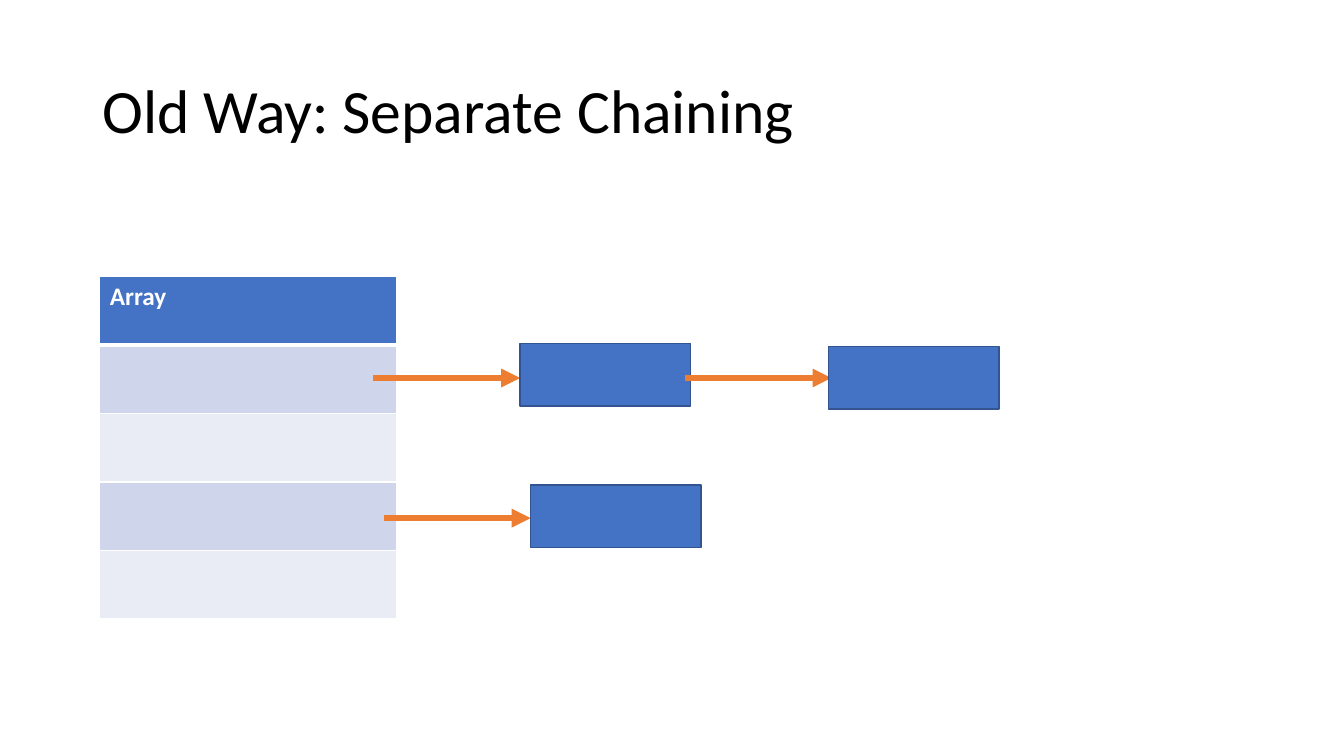
from dataclasses import dataclass

from lxml import etree
from pptx import Presentation
from pptx.dml.color import RGBColor
from pptx.enum import shapes, text
from pptx.oxml import ns
from pptx.util import Pt

FONT = "Calibri"
BLACK = RGBColor(0x00, 0x00, 0x00)
WHITE = RGBColor(0xFF, 0xFF, 0xFF)
BLUE = RGBColor(0x44, 0x72, 0xC4)
OUTLINE = RGBColor(0x32, 0x54, 0x91)
ORANGE = RGBColor(0xED, 0x7D, 0x31)
BAND_DARK = RGBColor(0xCF, 0xD5, 0xEA)
BAND_LIGHT = RGBColor(0xE9, 0xEB, 0xF5)

NODE_W, NODE_H = 121.7, 44.6
LINK_LENGTH = 104.9
ARRAY_X, ARRAY_Y, ARRAY_W = 71.3, 197.3, 211.7
ROW_H = 49
ROW_FILLS = [BLUE, BAND_DARK, BAND_LIGHT, BAND_DARK, BAND_LIGHT]


@dataclass
class Link:
    """A chain arrow and the node it leads to."""
    x: float
    y: float
    node_x: float
    node_y: float


LINKS = [
    Link(266.6, 270, 371.5, 245.5),
    Link(489, 270, 591.8, 247.7),
    Link(274.1, 370.1, 379, 346.3),
]


def style_run(p, size: float, color: RGBColor, bold: bool = False) -> None:
    for r in p.runs:
        r.font.name = FONT
        r.font.size = Pt(size)
        r.font.bold = bold
        r.font.color.rgb = color


def add_title(s, title: str) -> None:
    tf = s.shapes.add_textbox(Pt(66), Pt(28.8), Pt(828), Pt(104.4)).text_frame
    tf.word_wrap = True
    tf.vertical_anchor = text.MSO_ANCHOR.MIDDLE
    p = tf.paragraphs[0]
    p.text = title
    p.line_spacing = 0.9
    style_run(p, 44, BLACK)


def set_border(cell, side: str, width: float) -> None:
    tc_pr = cell._tc.get_or_add_tcPr()
    ln = etree.SubElement(tc_pr, ns.qn(f"a:ln{side}"), w=str(Pt(width)))
    fill = etree.SubElement(ln, ns.qn("a:solidFill"))
    etree.SubElement(fill, ns.qn("a:srgbClr"), val=str(WHITE))


def add_array(s, header: str) -> None:
    n = len(ROW_FILLS)
    table = s.shapes.add_table(n, 1, Pt(ARRAY_X), Pt(ARRAY_Y),
                               Pt(ARRAY_W), Pt(n * ROW_H)).table
    for i, color in enumerate(ROW_FILLS):
        table.rows[i].height = Pt(ROW_H)
        cell = table.cell(i, 0)
        # The line between the header and the first slot is thicker
        widths = {"L": 1, "R": 1, "T": 3 if i == 1 else 1, "B": 3 if i == 0 else 1}
        for side, width in widths.items():
            set_border(cell, side, width)
        cell.fill.solid()
        cell.fill.fore_color.rgb = color
    p = table.cell(0, 0).text_frame.paragraphs[0]
    p.text = header
    style_run(p, 18, WHITE, bold=True)


def add_arrow(s, link: Link) -> None:
    arrow = s.shapes.add_connector(
        shapes.MSO_CONNECTOR.STRAIGHT, Pt(link.x), Pt(link.y),
        Pt(link.x + LINK_LENGTH), Pt(link.y))
    arrow.line.color.rgb = ORANGE
    arrow.line.width = Pt(4.5)
    etree.SubElement(arrow.line._get_or_add_ln(), ns.qn("a:tailEnd"), type="triangle")
    etree.SubElement(arrow._element.spPr, ns.qn("a:effectLst"))


def add_node(s, link: Link) -> None:
    sp = s.shapes.add_shape(shapes.MSO_SHAPE.RECTANGLE, Pt(link.node_x),
                            Pt(link.node_y), Pt(NODE_W), Pt(NODE_H))
    sp.shadow.inherit = False
    sp.fill.solid()
    sp.fill.fore_color.rgb = BLUE
    sp.line.color.rgb = OUTLINE
    sp.line.width = Pt(1)


def main() -> None:
    prs = Presentation()
    prs.slide_width, prs.slide_height = Pt(960), Pt(540)
    s = prs.slides.add_slide(prs.slide_layouts[6])

    # Title and bucket array
    add_title(s, "Old Way: Separate Chaining")
    add_array(s, "Array")

    # Chains hanging off the array
    for link in LINKS:
        add_arrow(s, link)
        add_node(s, link)

    prs.save("out.pptx")


if __name__ == "__main__":
    main()
